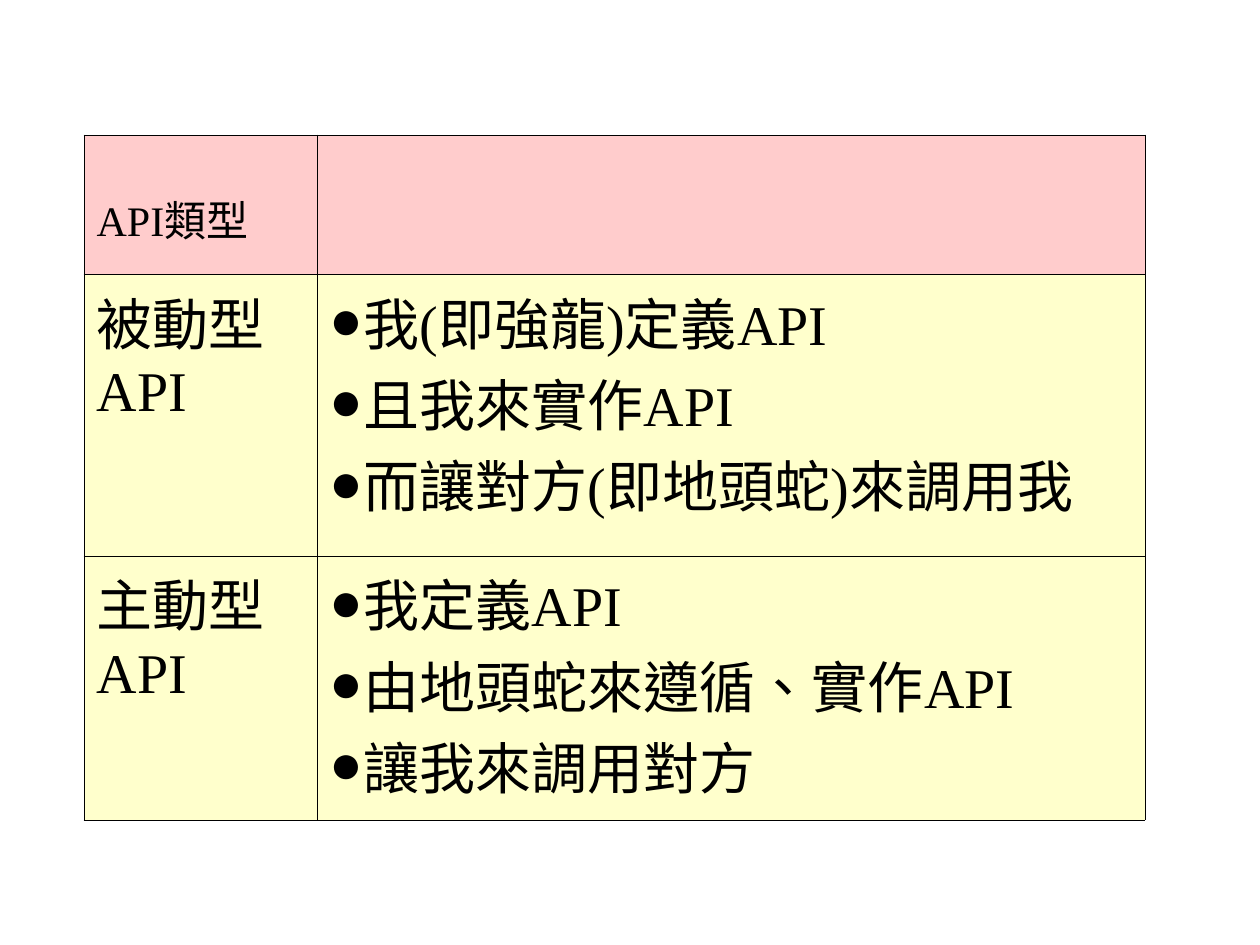
from lxml.etree import SubElement
from pptx import Presentation
from pptx.dml.color import RGBColor
from pptx.oxml.ns import qn
from pptx.util import Emu, Pt

FONT = "Times New Roman"
BLACK, PINK, CREAM = "000000", "FFCCCC", "FFFFCC"
COLUMNS = [233, 828]
ROWS = [139, 282, 264]
TYPES = [
    ("被動型API", ["我(即強龍)定義API", "且我來實作API", "而讓對方(即地頭蛇)來調用我"]),
    ("主動型API", ["我定義API", "由地頭蛇來遵循、實作API", "讓我來調用對方"]),
]


def px(length):
    """Turn pixels into EMU."""
    return Emu(round(length * 914400 / 126))


def color(value):
    """Turn a hex string into a colour."""
    return RGBColor.from_string(value)


def add_bullet(paragraph):
    """Put a round bullet directly before the paragraph's text."""
    properties = paragraph._p.get_or_add_pPr()
    properties.set("marL", "0")
    properties.set("indent", "0")
    bullet_color = SubElement(properties, qn("a:buClr"))
    SubElement(bullet_color, qn("a:srgbClr"), val=BLACK)
    SubElement(properties, qn("a:buFont"), typeface=FONT)
    SubElement(properties, qn("a:buChar"), char="●")


def write_text(cell, lines, size=32, top=6, bullets=False):
    """Write one paragraph per line into the cell."""
    cell.margin_top = px(top)
    frame = cell.text_frame
    for index, line in enumerate(lines):
        paragraph = frame.add_paragraph() if index else frame.paragraphs[0]
        if bullets:
            add_bullet(paragraph)
        run = paragraph.add_run()
        run.text = line
        run.font.name = FONT
        run.font.size = Pt(size)
        run.font.color.rgb = color(BLACK)
        run._r.get_or_add_rPr().set("lang", "zh-TW")
        run._r.get_or_add_rPr().set("altLang", "zh-TW")


def style_cell(cell, fill):
    """Give the cell thin borders and a solid fill."""
    properties = cell._tc.get_or_add_tcPr()
    for side in ("L", "R", "T", "B"):
        border = SubElement(properties, qn(f"a:ln{side}"), w=str(Pt(0.45)))
        border_fill = SubElement(border, qn("a:solidFill"))
        SubElement(border_fill, qn("a:srgbClr"), val=BLACK)
    cell.fill.solid()
    cell.fill.fore_color.rgb = color(fill)


def add_grid(slide, left, top):
    """Add the empty styled table with a header row."""
    shape = slide.shapes.add_table(
        len(ROWS), len(COLUMNS), px(left), px(top), px(sum(COLUMNS)), px(sum(ROWS)))
    table = shape.table
    table.horz_banding = False
    for column, width in zip(table.columns, COLUMNS):
        column.width = px(width)
    for index, (row, height) in enumerate(zip(table.rows, ROWS)):
        row.height = px(height)
        for cell in row.cells:
            style_cell(cell, CREAM if index else PINK)
    return table


def main():
    """Build the slide comparing API types."""
    presentation = Presentation()
    presentation.slide_width, presentation.slide_height = px(1260), px(945)
    slide = presentation.slides.add_slide(presentation.slide_layouts[6])
    table = add_grid(slide, 84, 135)
    write_text(table.cell(0, 0), ["API類型"], size=24, top=53)
    for row, (name, points) in enumerate(TYPES, start=1):
        write_text(table.cell(row, 0), [name])
        write_text(table.cell(row, 1), points, bullets=True)
    presentation.save("out.pptx")


if __name__ == "__main__":
    main()
